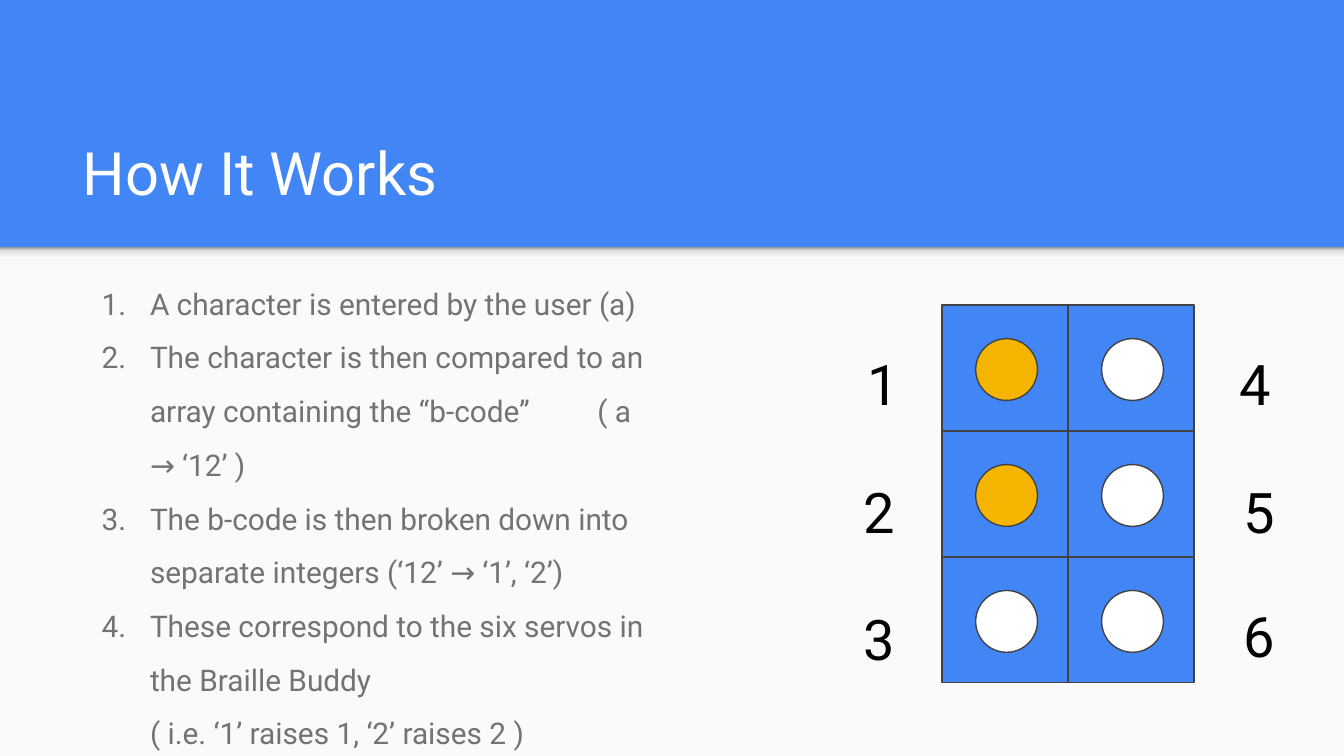
from copy import deepcopy
from itertools import product

from lxml.etree import SubElement
from pptx import Presentation
from pptx.dml.color import RGBColor
from pptx.enum.shapes import MSO_SHAPE as Preset
from pptx.enum.text import MSO_ANCHOR as Anchor, MSO_AUTO_SIZE as AutoSize, PP_ALIGN as Align
from pptx.oxml.ns import qn
from pptx.util import Inches, Pt

BLUE, AMBER, WHITE, BLACK = "4285F4", "F4B400", "FFFFFF", "000000"
PAPER, GREY, OUTLINE = "FAFAFA", "737373", "424242"
STEPS = [
    "A character is entered by the user (a)",
    "The character is then compared to an array containing the “b-code”\t( a → ‘12’ )",
    "The b-code is then broken down into separate integers (‘12’ → ‘1’, ‘2’)",
    "These correspond to the six servos in the Braille Buddy\v( i.e. ‘1’ raises 1, ‘2’ raises 2 )",
]
SHADOW = [(0, "F9F9F9"), (0.36, "F9F9F9"), (0.8, "DEDEDE"), (1, "999999")]
LABELS = [(61.2, 22.7), (60.9, 32.25), (60.9, 41.7), (88.85, 22.7), (89.15, 32.25), (89.15, 41.45)]
RAISED = {1, 2}
CELL, DOT, DOT_INSET = 9.37, 4.6, 2.5
GRID_LEFT, GRID_TOP = 70.1, 22.7


def color(hex_code):
    """Turn a hex string into a colour."""
    return RGBColor.from_string(hex_code)


class Deck:
    """Hold the style and current slide on a grid of 100 columns by 56.25 rows."""

    font = "Roboto"
    columns, rows = 100, 56.25

    def __init__(self):
        """Open a one-slide deck with a blue background."""
        self.deck = Presentation()
        self.deck.slide_width, self.deck.slide_height = self.span(self.columns), self.span(self.rows)
        self.slide = self.deck.slides.add_slide(self.deck.slide_layouts[1])
        background = self.slide.background.fill
        background.solid()
        background.fore_color.rgb = color(BLUE)

    def span(self, units):
        """Convert grid units to a length."""
        return Inches(units / 10)

    def shape(self, preset, place, fill=None, line=None):
        """Add a preset shape without a shadow."""
        item = self.slide.shapes.add_shape(preset, *map(self.span, place))
        item.shadow.inherit = False
        if fill:
            item.fill.solid()
            item.fill.fore_color.rgb = color(fill)
        if line:
            item.line.color.rgb = color(line)
            item.line.width = Pt(0.75)
        else:
            item.line.fill.background()
        return item

    def fade(self, place, stops):
        """Add a band that fades from bottom to top."""
        band = self.shape(Preset.RECTANGLE, place)
        band.fill.gradient()
        band.fill.gradient_angle = 90
        stop_list = next(band.element.iter(qn("a:gsLst")))
        for _ in range(len(stops) - len(stop_list)):
            stop_list.append(deepcopy(stop_list[0]))
        for stop, (position, shade) in zip(band.fill.gradient_stops, stops):
            stop.position = position
            stop.color.rgb = color(shade)

    def style(self, frame, size, ink, align, anchor=Anchor.TOP):
        """Format a text frame and its runs."""
        frame.word_wrap, frame.auto_size, frame.vertical_anchor = True, AutoSize.NONE, anchor
        frame.margin_left = frame.margin_right = self.span(1)
        frame.margin_top = frame.margin_bottom = self.span(1)
        for paragraph in frame.paragraphs:
            paragraph.alignment = align
            for run in paragraph.runs:
                run.font.name, run.font.size = self.font, Pt(size)
                run.font.color.rgb = color(ink)

    def placeholder(self, index, place, text, size, ink, anchor=Anchor.TOP):
        """Fill a template placeholder and bring it to the front."""
        holder = self.slide.placeholders[index]
        holder.left, holder.top, holder.width, holder.height = map(self.span, place)
        holder.text_frame.text = text
        self.style(holder.text_frame, size, ink, Align.LEFT, anchor)
        self.slide.shapes.element.append(holder.element)
        return holder.text_frame

    def widen(self, paragraph):
        """Replace a tab by one space with wide character spacing."""
        lead = paragraph.runs[0]
        before, tab, after = lead.text.partition("\t")
        if tab:
            paragraph._p.extend([deepcopy(lead._r), deepcopy(lead._r)])
            for run, words in zip(paragraph.runs, (before, " ", after)):
                run.text = words
            paragraph.runs[1].font._element.set("spc", "3200")

    def numbered(self, place, items, size, ink):
        """Fill the body placeholder with a numbered list."""
        frame = self.placeholder(1, place, "\n".join(items), size, ink)
        for paragraph in frame.paragraphs:
            self.widen(paragraph)
            paragraph.line_spacing, paragraph.space_before = 1.5, Pt(0)
            props = paragraph._p.get_or_add_pPr()
            props.set("marL", str(self.span(5)))
            props.set("indent", str(self.span(-3.6)))
            SubElement(SubElement(props, qn("a:buClr")), qn("a:srgbClr"), val=ink)
            SubElement(props, qn("a:buFont"), typeface=self.font)
            SubElement(props, qn("a:buAutoNum"), type="arabicPeriod")

    def label(self, place, text, size, ink):
        """Add a centred label set low in its box."""
        frame = self.slide.shapes.add_textbox(*map(self.span, place)).text_frame
        frame.text = text
        self.style(frame, size, ink, Align.CENTER)
        frame.margin_top = self.span(3.3)

    def save(self):
        """Write the deck."""
        self.deck.save("out.pptx")


def main():
    """Build the slide on how the braille cell works."""
    deck = Deck()
    deck.shape(Preset.RECTANGLE, (0, 18.4, 100, 37.85), PAPER)
    deck.fade((0, 18.4, 100, 1.2), SHADOW)
    deck.placeholder(0, (5.16, 8.05, 89.9, 8.4), "How It Works", 32, WHITE, Anchor.BOTTOM)
    deck.numbered((5.16, 18.9, 43.75, 29.6), STEPS, 16, GREY)

    for servo, (column, row) in enumerate(product(range(2), range(3)), start=1):
        left, top = GRID_LEFT + column * CELL, GRID_TOP + row * CELL
        deck.shape(Preset.RECTANGLE, (left, top, CELL, CELL), BLUE, OUTLINE)
        dot_fill = AMBER if servo in RAISED else WHITE
        deck.shape(Preset.OVAL, (left + DOT_INSET, top + DOT_INSET, DOT, DOT), dot_fill, OUTLINE)
    for servo, (left, top) in enumerate(LABELS, start=1):
        deck.label((left, top, 9.1, 9.4), str(servo), 30, BLACK)
    deck.save()


if __name__ == "__main__":
    main()
